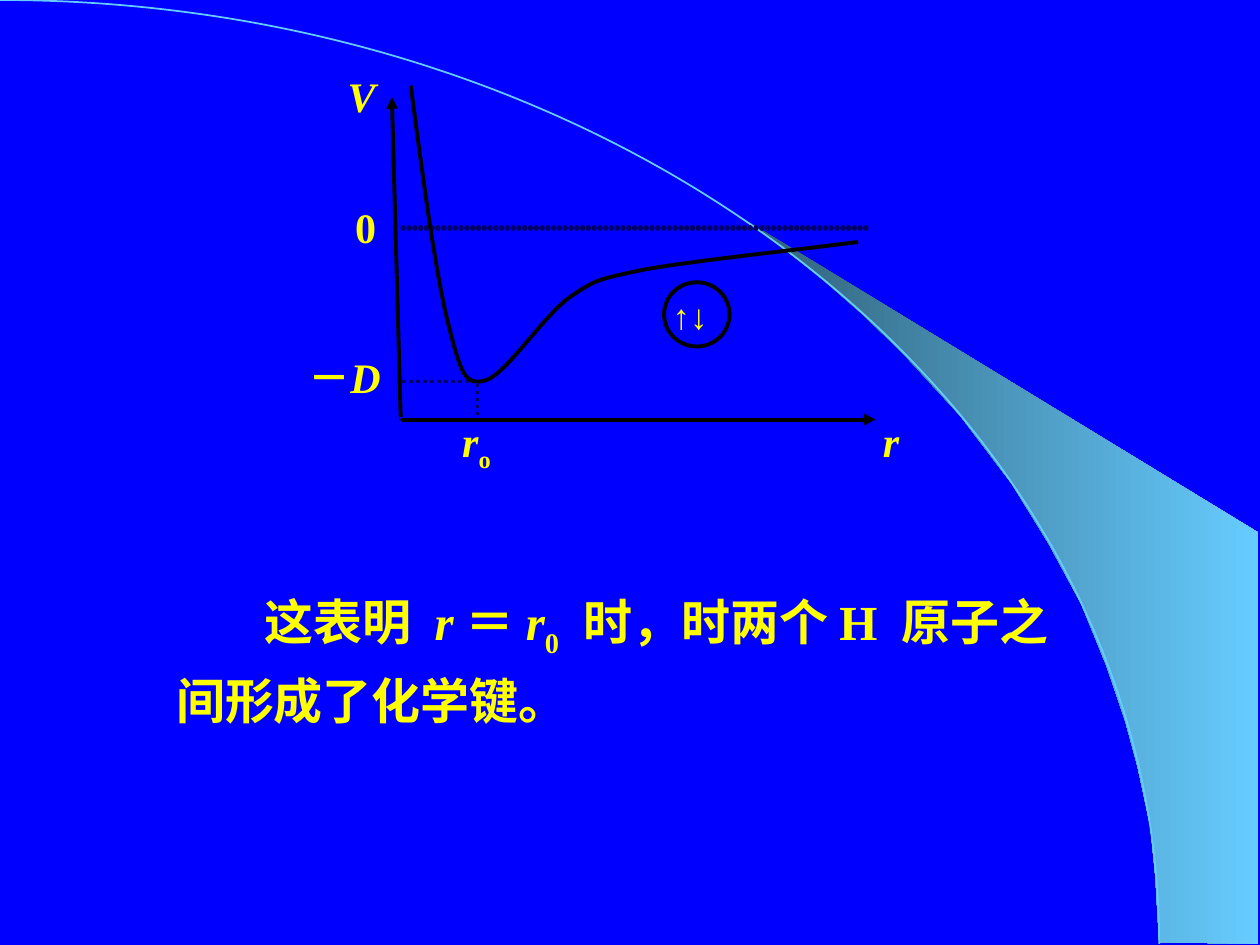
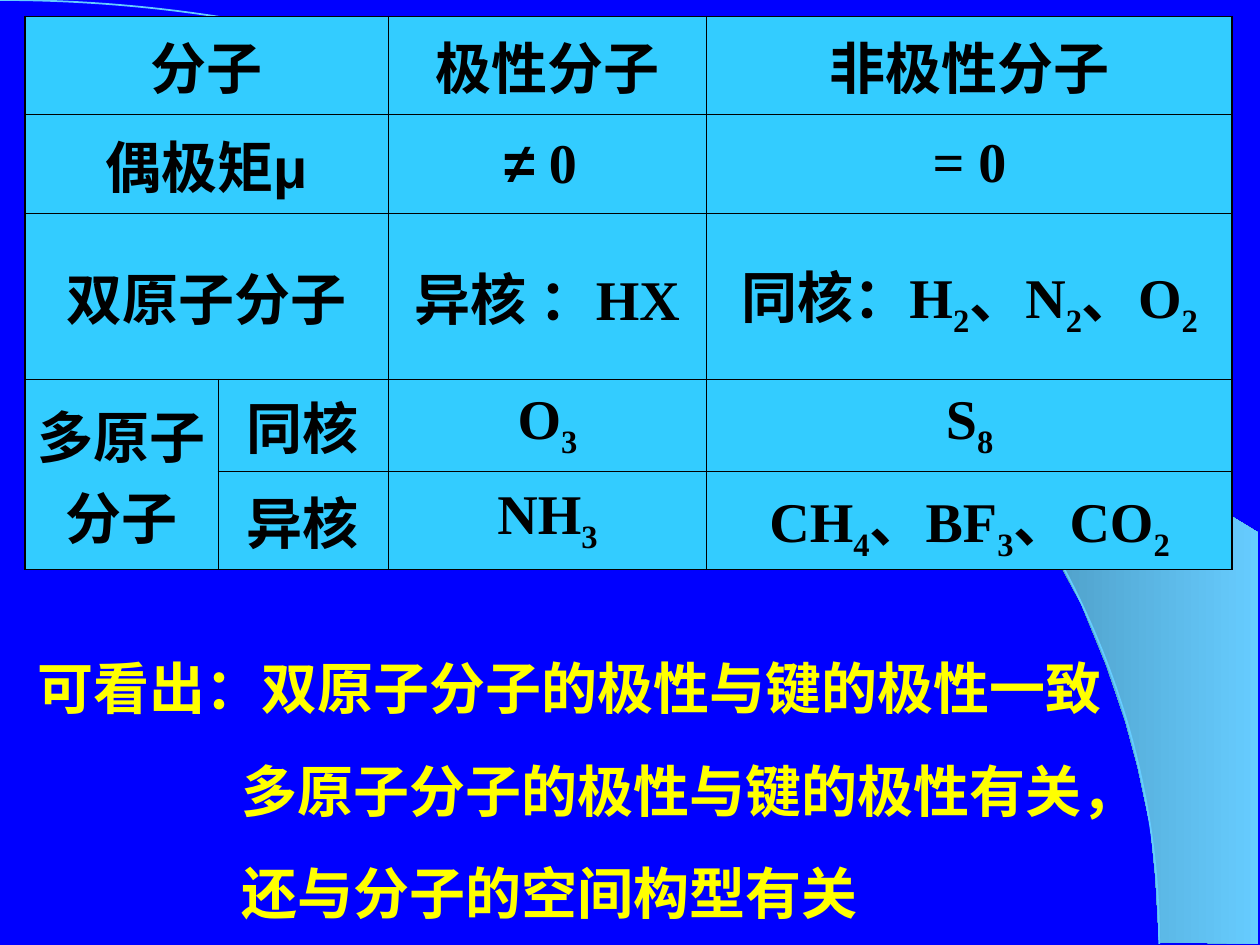
from lxml import etree
from pptx import Presentation
from pptx.dml.color import RGBColor
from pptx.enum import dml, shapes, text
from pptx.oxml.ns import qn
from pptx.util import Inches, Pt

BLUE = RGBColor(0x00, 0x00, 0xFF)
SKY = RGBColor(0x66, 0xCC, 0xFF)
TEAL = RGBColor(0x2F, 0x5E, 0x76)
NAVY = RGBColor(0x00, 0x00, 0x66)
CYAN = RGBColor(0x33, 0xCC, 0xFF)
YELLOW = RGBColor(0xFF, 0xFF, 0x00)
BLACK = RGBColor(0x00, 0x00, 0x00)

SERIF, SANS = "Times New Roman", "Arial"
ITALIC, SUB, ARIAL, WIDE = "italic", "subscript", "arial", "wide"
OUTER_BORDER, INNER_BORDER = 1.08, 0.45

BAND = [(9.2, 7.48), (9.99, 7.49), (9.99, 4.23), (5.89, 1.73), (6.24, 1.99),
        (6.53, 2.22), (6.85, 2.5), (7.16, 2.8), (7.62, 3.3), (8.03, 3.84),
        (8.32, 4.31), (8.58, 4.79), (8.78, 5.28), (8.93, 5.72), (9.03, 6.09),
        (9.13, 6.56), (9.17, 6.96)]
# Each curve is a start point followed by groups of three Bezier points.
ARC = [(0, 0), (5.08, 0), (9.2, 3.35), (9.2, 7.49)]
POTENTIAL = [(3.26, 0.68),
             (3.36, 1.44), (3.46, 2.19), (3.56, 2.58),
             (3.66, 2.97), (3.69, 3.06), (3.85, 3.02),
             (4.01, 2.98), (4.31, 2.51), (4.52, 2.36),
             (4.73, 2.22), (4.73, 2.22), (5.11, 2.14),
             (5.49, 2.07), (6.53, 1.96), (6.81, 1.92)]

AXIS_LABELS = [
    (6.91, 3.25, 1.16, [("r", ITALIC)]),
    (2.66, 0.51, 0.79, [("V", ITALIC)]),
    (2.72, 1.55, 0.63, ["0"]),
    (2.35, 2.74, 1.3, ["－", ("D", ITALIC)]),
    (3.57, 3.25, 0.93, [("r", ITALIC), ("o", SUB)]),
]

COLUMNS = [1.53, 1.35, 2.53, 4.17]
ROWS = [0.78, 0.78, 1.32, 0.73, 0.78]
MERGES = [((0, 0), (0, 1)), ((1, 0), (1, 1)), ((2, 0), (2, 1)), ((3, 0), (4, 0))]
POLARITY = [
    [["分子"], None, ["极性分子"], ["非极性分子"]],
    [["偶极矩", ("μ", ARIAL)], None, [("≠", ARIAL), " 0 "], ["= 0"]],
    [["双原子分子"], None, ["异核 ：HX"],
     ["同核：H", ("2", SUB), "、N", ("2", SUB), "、O", ("2", SUB)]],
    [["多原子分子"], ["同核"], ["O", ("3", SUB)], ["S", ("8", SUB)]],
    [None, ["异核"], ["NH", ("3", SUB)],
     ["CH", ("4", SUB), "、BF", ("3", SUB), "、CO", ("2", SUB)]],
]


def write_runs(paragraph, pieces, size, color=YELLOW):
    """Add bold runs; a piece is plain text or (text, style)."""
    for piece in pieces:
        words, style = (piece, None) if isinstance(piece, str) else piece
        run = paragraph.add_run()
        run.text = words
        font = run.font
        font.size, font.bold, font.color.rgb = Pt(size), True, color
        font.name = SANS if style == ARIAL else SERIF
        font.italic = style == ITALIC
        if style == SUB:
            run._r.get_or_add_rPr().set("baseline", "-25000")
        elif style == WIDE:
            run._r.get_or_add_rPr().set("spc", "700")


def add_text(slide, left, top, width, height, paragraphs, size):
    box = slide.shapes.add_textbox(Inches(left), Inches(top), Inches(width), Inches(height))
    frame = box.text_frame
    frame.word_wrap = True
    for i, pieces in enumerate(paragraphs):
        paragraph = frame.add_paragraph() if i else frame.paragraphs[0]
        write_runs(paragraph, pieces, size)
    return frame


def indent(paragraph, margin=0, first_line=0):
    properties = paragraph._p.get_or_add_pPr()
    properties.set("marL", str(Inches(margin)))
    properties.set("indent", str(Inches(first_line)))


def add_outline(slide, points, close=False):
    corners = [(Inches(x), Inches(y)) for x, y in points]
    builder = slide.shapes.build_freeform(*corners[0], scale=1.0)
    builder.add_line_segments(corners[1:], close=close)
    outline = builder.convert_to_shape()
    outline.shadow.inherit = False
    return outline


def add_curve(slide, points, color, width):
    """Draw Bezier segments by joining each three line steps into one curve."""
    curve = add_outline(slide, points)
    steps = list(curve._element.iter(qn("a:lnTo")))
    for i in range(0, len(steps), 3):
        segment = etree.Element(qn("a:cubicBezTo"))
        steps[i].addprevious(segment)
        for step in steps[i:i + 3]:
            segment.append(step[0])
            step.getparent().remove(step)
    stroke(curve, color, width)


def stroke(shape, color, width, dash=None):
    """Leave the shape unfilled, with a line only."""
    shape.fill.background()
    shape.shadow.inherit = False
    style_line(shape.line, color, width, dash)


def style_line(line, color, width, dash=None):
    line.color.rgb = color
    line.width = Pt(width)
    if dash:
        line.dash_style = dash


def add_line(slide, start, end, color, width, beaded=False, arrow=False):
    line = slide.shapes.add_connector(
        shapes.MSO_CONNECTOR.STRAIGHT, *(Inches(v) for v in (*start, *end)))
    style_line(line.line, color, width)
    properties = line._element.spPr
    stroke_xml = properties.find(qn("a:ln"))
    if beaded:
        stroke_xml.set("cap", "rnd")
        beads = etree.SubElement(stroke_xml, qn("a:custDash"))
        etree.SubElement(beads, qn("a:ds"), d="100000", sp="10000")
    if arrow:
        etree.SubElement(stroke_xml, qn("a:tailEnd"), type="triangle")
    etree.SubElement(properties, qn("a:effectLst"))


def add_frame_shape(slide, kind, left, top, width, height, color, weight, dash=None):
    shape = slide.shapes.add_shape(
        kind, Inches(left), Inches(top), Inches(width), Inches(height))
    stroke(shape, color, weight, dash)


def add_backdrop_slide(prs):
    """Add a slide with the gradient band and the arc."""
    slide = prs.slides.add_slide(prs.slide_layouts[6])
    band = add_outline(slide, BAND, close=True)
    band.line.fill.background()
    band.fill.gradient()
    band.fill.gradient_angle = 0
    for stop, color, position in zip(band.fill.gradient_stops, (TEAL, SKY), (0, 1)):
        stop.color.rgb, stop.position = color, position
    add_curve(slide, ARC, SKY, 1)
    return slide


def set_borders(cell, widths):
    properties = cell._tc.get_or_add_tcPr()
    for side, width in widths.items():
        border = etree.SubElement(properties, qn(f"a:ln{side}"), w=str(Pt(width)))
        fill = etree.SubElement(border, qn("a:solidFill"))
        etree.SubElement(fill, qn("a:srgbClr"), val=str(BLACK))


def add_polarity_table(slide):
    table = slide.shapes.add_table(
        len(ROWS), len(COLUMNS), Inches(0.2), Inches(0.13),
        Inches(sum(COLUMNS)), Inches(sum(ROWS))).table
    table.first_row = table.horz_banding = False
    for column, width in zip(table.columns, COLUMNS):
        column.width = Inches(width)
    for row, height in zip(table.rows, ROWS):
        row.height = Inches(height)
    for first, last in MERGES:
        table.cell(*first).merge(table.cell(*last))
    for r, row in enumerate(POLARITY):
        for c, pieces in enumerate(row):
            cell = table.cell(r, c)
            bottom = r + (cell.span_height if cell.is_merge_origin else 1)
            on_edge = {"L": c == 0, "R": c == len(COLUMNS) - 1,
                       "T": r == 0, "B": bottom == len(ROWS)}
            set_borders(cell, {side: OUTER_BORDER if outer else INNER_BORDER
                               for side, outer in on_edge.items()})
            cell.fill.solid()
            cell.fill.fore_color.rgb = CYAN
            cell.vertical_anchor = text.MSO_ANCHOR.MIDDLE
            cell.margin_left = cell.margin_right = Inches(0.08)
            cell.margin_top = cell.margin_bottom = Inches(0.03)
            if pieces:
                paragraph = cell.text_frame.paragraphs[0]
                paragraph.alignment = text.PP_ALIGN.CENTER
                write_runs(paragraph, pieces, 32, BLACK)


def build_potential_slide(prs):
    slide = add_backdrop_slide(prs)
    gap = (" ", WIDE)
    conclusion = add_text(slide, 1.3, 4.54, 8.03, 1.3, [
        ["这表明", gap, ("r ", ITALIC), ("＝ ", ARIAL), ("r", ITALIC), ("0", SUB),
         gap, "时，时两个 H", gap, "原子之"],
        ["间形成了化学键。"]], 28)
    conclusion.vertical_anchor = text.MSO_ANCHOR.MIDDLE
    for paragraph in conclusion.paragraphs:
        paragraph.alignment = text.PP_ALIGN.JUSTIFY
        paragraph.line_spacing = 1.2
    indent(conclusion.paragraphs[0], first_line=0.7)

    add_frame_shape(slide, shapes.MSO_SHAPE.OVAL, 5.27, 2.24, 0.52, 0.51, BLACK, 2.25)
    add_line(slide, (3.2, 1.81), (6.9, 1.81), NAVY, 3, beaded=True)
    add_frame_shape(slide, shapes.MSO_SHAPE.RECTANGLE, 3.18, 3.03, 0.61, 0.3,
                    NAVY, 2, dml.MSO_LINE.ROUND_DOT)
    add_line(slide, (3.18, 3.31), (3.11, 0.77), BLACK, 2.25, arrow=True)
    add_line(slide, (3.18, 3.33), (6.95, 3.33), BLACK, 2.25, arrow=True)
    add_curve(slide, POTENTIAL, BLACK, 2.25)
    add_text(slide, 5.17, 2.29, 1.3, 0.44, [[" ", ("↑↓", ARIAL)]], 20)
    for left, top, width, pieces in AXIS_LABELS:
        add_text(slide, left, top, width, 0.5, [pieces], 24)


def build_polarity_slide(prs):
    slide = add_backdrop_slide(prs)
    add_polarity_table(slide)
    findings = add_text(slide, 0.2, 5.14, 9.33, 2.26, [
        ["可看出：双原子分子的极性与键的极性一致"],
        ["多原子分子的极性与键的极性有关，"],
        ["还与分子的空间构型有关"]], 32)
    for paragraph in findings.paragraphs[1:]:
        paragraph.space_before = Pt(20)
        indent(paragraph, margin=1.62)


def main():
    prs = Presentation()
    prs.slide_width, prs.slide_height = Inches(10), Inches(7.5)
    background = prs.slide_master.background.fill
    background.solid()
    background.fore_color.rgb = BLUE
    build_potential_slide(prs)
    build_polarity_slide(prs)
    prs.save("out.pptx")


if __name__ == "__main__":
    main()
